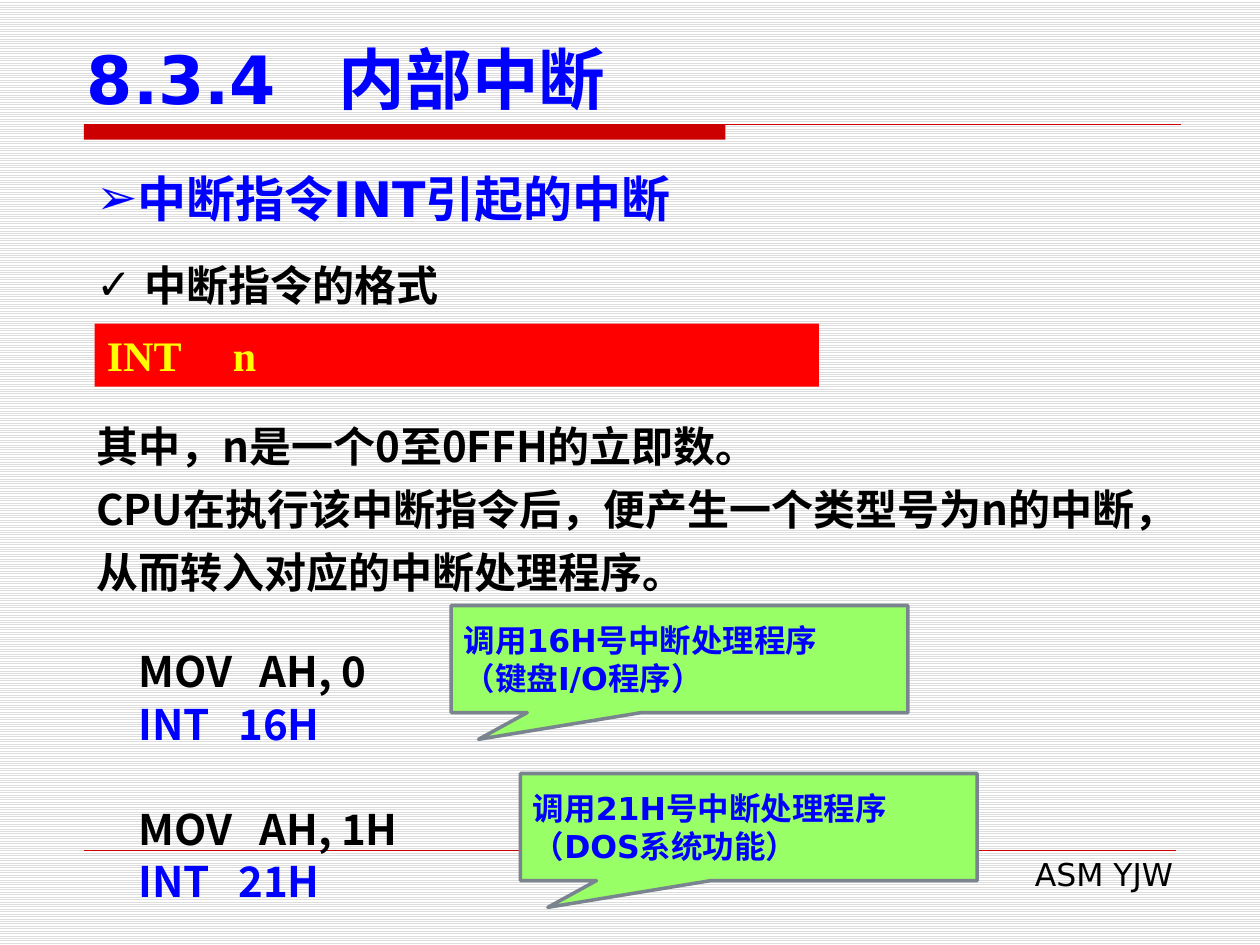
from dataclasses import dataclass

from lxml import etree
from pptx import Presentation
from pptx.dml import color
from pptx.enum import dml, shapes, text
from pptx.oxml import ns
from pptx.util import Pt

SANS, CJK, SERIF = "DejaVu Sans", "Noto Sans CJK SC", "Times New Roman"
BLACK, BLUE, RED, YELLOW = "000000", "0000FF", "CC0000", "FFFF00"


@dataclass
class Box:
    left: float
    top: float
    width: float
    height: float

    def pts(self):
        return [Pt(v) for v in (self.left, self.top, self.width, self.height)]


@dataclass
class Style:
    font: str
    size: float
    tint: str = BLACK
    bold: bool = True


@dataclass
class Line:
    words: str
    style: Style
    pitch: float = 0
    before: float = 0
    tab: float = 0
    bullet: str = ""
    hang: float = 0
    align: text.PP_ALIGN = text.PP_ALIGN.LEFT


@dataclass
class Call:
    left: float
    top: float
    words: tuple[str, str]


def rgb(code: str) -> color.RGBColor:
    return color.RGBColor.from_string(code)


def add_tag(parent, name: str, **attrs):
    node = etree.SubElement(parent, ns.qn(name))
    for key, val in attrs.items():
        node.set(key, str(val))
    return node


def set_line(para, line: Line) -> None:
    para.text = line.words
    para.alignment = line.align
    para.space_before = Pt(line.before)
    if line.pitch:
        para.line_spacing = Pt(line.pitch)
    props = para._p.get_or_add_pPr()
    if line.bullet:
        props.set("marL", str(Pt(line.hang)))
        props.set("indent", str(-Pt(line.hang)))
        add_tag(props, "a:buFont", typeface=SANS)
        add_tag(props, "a:buChar", char=line.bullet)
    if line.tab:
        tabs = add_tag(props, "a:tabLst")
        add_tag(tabs, "a:tab", pos=Pt(line.tab), algn="l")
    for run in para.runs:
        font = run.font
        font.name, font.size = line.style.font, Pt(line.style.size)
        font.bold = line.style.bold
        font.color.rgb = rgb(line.style.tint)
        add_tag(run._r.get_or_add_rPr(), "a:ea", typeface=CJK)


def fill_text(shape, lines: list[Line], anchor=text.MSO_ANCHOR.TOP) -> None:
    frame = shape.text_frame
    frame.word_wrap = True
    frame.auto_size = text.MSO_AUTO_SIZE.NONE
    frame.vertical_anchor = anchor
    frame.margin_left = frame.margin_right = Pt(7.2)
    frame.margin_top = frame.margin_bottom = Pt(3.6)
    frame.text = "\n".join(line.words for line in lines)
    for para, line in zip(frame.paragraphs, lines):
        set_line(para, line)


def add_text(slide, box: Box, lines: list[Line]):
    shape = slide.shapes.add_textbox(*box.pts())
    fill_text(shape, lines)
    return shape


def add_block(slide, kind, box: Box, tint: str):
    shape = slide.shapes.add_shape(kind, *box.pts())
    shape.shadow.inherit = False
    shape.fill.solid()
    shape.fill.fore_color.rgb = rgb(tint)
    shape.line.fill.background()
    return shape


def add_rule(slide, left: float, right: float, top: float, width: float) -> None:
    rule = slide.shapes.add_connector(
        shapes.MSO_CONNECTOR.STRAIGHT, Pt(left), Pt(top), Pt(right), Pt(top))
    rule.line.color.rgb = rgb(RED)
    rule.line.width = Pt(width)
    add_tag(rule._element.spPr, "a:effectLst")


def add_call(slide, call: Call) -> None:
    shape = add_block(slide, shapes.MSO_SHAPE.RECTANGULAR_CALLOUT,
                      Box(call.left, call.top, 261, 61.2), "99FF66")
    shape.line.color.rgb = rgb("79848F")
    shape.line.width = Pt(2)
    shape.adjustments[0], shape.adjustments[1] = -0.44, 0.75
    style = Style(SANS, 18, BLUE)
    fill_text(shape, [Line(words, style) for words in call.words],
              text.MSO_ANCHOR.MIDDLE)


def main() -> None:
    deck = Presentation()
    deck.slide_width, deck.slide_height = Pt(720), Pt(540)
    slide = deck.slides.add_slide(deck.slide_layouts[5])
    back = slide.background.fill
    back.patterned()
    back.pattern = dml.MSO_PATTERN.LIGHT_HORIZONTAL
    back.fore_color.rgb, back.back_color.rgb = rgb("DDDDDD"), rgb("FFFFFF")

    add_block(slide, shapes.MSO_SHAPE.RECTANGLE, Box(48, 71.2, 366.5, 8.6), RED)
    add_rule(slide, 48, 674.6, 71.2, 0.75)
    add_rule(slide, 48, 672, 486, 0.25)
    add_text(slide, Box(275, 485.3, 402.5, 28.8),
             [Line("ASM YJW", Style(SANS, 18, bold=False),
                   align=text.PP_ALIGN.RIGHT)])

    title = slide.shapes.title
    title.left, title.top, title.width, title.height = Box(
        42.5, 20.2, 652.3, 51).pts()
    fill_text(title, [Line("8.3.4\t内部中断", Style(SANS, 38, BLUE), tab=144)],
              text.MSO_ANCHOR.BOTTOM)

    body = Style(CJK, 24)
    add_text(slide, Box(48, 92.9, 624, 41),
             [Line("中断指令INT引起的中断", Style(SANS, 28, BLUE), bullet="➢",
                   align=text.PP_ALIGN.JUSTIFY)])
    add_text(slide, Box(48, 137.5, 624, 39),
             [Line("中断指令的格式", body, 36, bullet="✓", hang=27.4)])
    form = add_block(slide, shapes.MSO_SHAPE.RECTANGLE,
                     Box(54, 185, 414, 36), "FF0000")
    fill_text(form, [Line("INT\tn", Style(SERIF, 24, YELLOW), tab=72)])
    add_text(slide, Box(48, 229.4, 624, 111.6), [
        Line("其中，n是一个0至0FFH的立即数。", body, 36),
        Line("CPU在执行该中断指令后，便产生一个类型号为n的中断，"
             "从而转入对应的中断处理程序。", body, 36)])

    code = []
    for value, number, gap in (("0", "16H", 0), ("1H", "21H", 30)):
        code.append(Line(f"MOV\tAH, {value}", body, 30, gap, tab=69))
        code.append(Line(f"INT\t{number}", Style(CJK, 24, BLUE), 30, tab=57))
    listing = add_text(slide, Box(49.7, 364.3, 350, 158.4), code)
    listing.text_frame.margin_left = Pt(29.5)

    for call in (
        Call(257.8, 346, ("调用16H号中断处理程序", "（键盘I/O程序）")),
        Call(297.4, 442, ("调用21H号中断处理程序", "（DOS系统功能）")),
    ):
        add_call(slide, call)

    deck.save("out.pptx")


if __name__ == "__main__":
    main()
